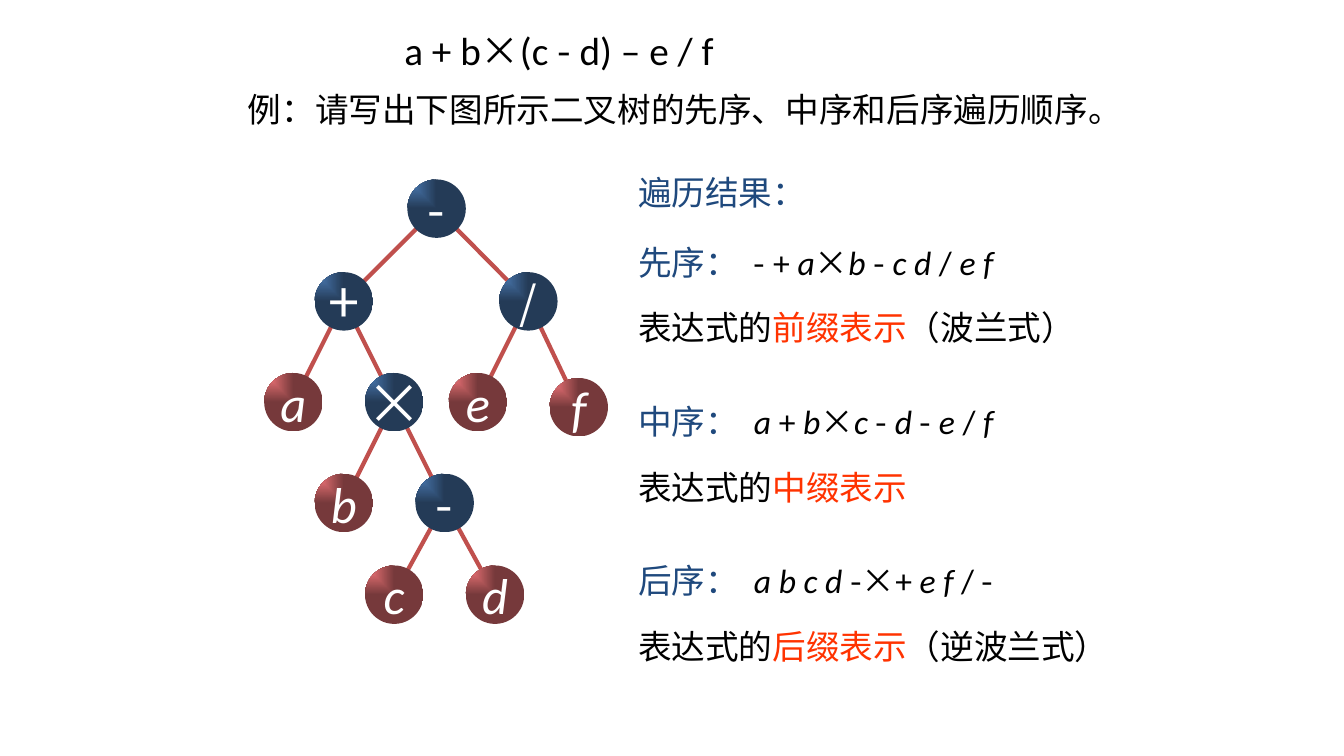
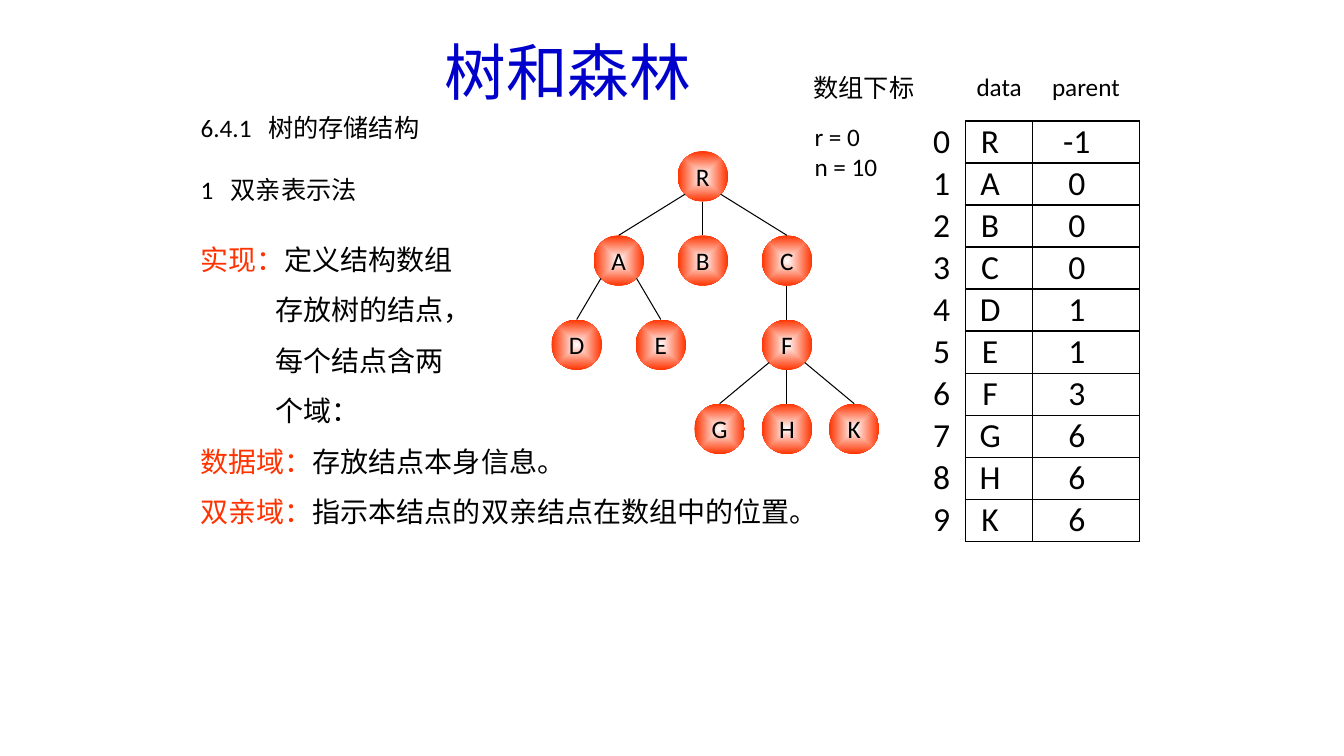
import itertools
import math

import pptx
import pptx.dml.color
import pptx.enum.shapes
import pptx.enum.text
import pptx.oxml
import pptx.oxml.ns
import pptx.util
from lxml import etree

Inches = pptx.util.Inches
Pt = pptx.util.Pt
qn = pptx.oxml.ns.qn
ALIGN = pptx.enum.text.PP_ALIGN
ANCHOR = pptx.enum.text.MSO_ANCHOR

COLORS = {
    "ink": "000000", "paper": "FFFFFF", "title": "0000CC", "label": "1F497D",
    "key": "FF3300", "edge": "C0504D", "blue": "4F81BD", "navy": "243B57",
    "pink": "FF7C80", "wine": "76393B",
}
LATIN, HAN = "Calibri", "Noto Sans CJK SC"
CORNER = {"l": "0", "t": "0", "r": "100000", "b": "100000"}
CENTER = dict.fromkeys("ltrb", "50000")


def rgb(name):
    return pptx.dml.color.RGBColor.from_string(COLORS[name])


def style(run, size, color="ink", font=LATIN, italic=False):
    run.font.size = Pt(size)
    run.font.name = font
    run.font.italic = italic
    run.font.color.rgb = rgb(color)
    east = etree.SubElement(run.font._element, qn("a:ea"))
    east.set("typeface", HAN)


def write(para, parts, size, tab=None, indent=0):
    """Fill a paragraph with runs; each part is (text, *style arguments)."""
    props = para._p.get_or_add_pPr()
    if indent:
        props.set("marL", str(Inches(indent)))
    if tab:
        stops = etree.SubElement(props, qn("a:tabLst"))
        etree.SubElement(stops, qn("a:tab"), pos=str(Inches(tab)), algn="l")
    for text, *look in parts:
        run = para.add_run()
        run.text = text
        style(run, size, *look)


def add_text(slide, box, lines, size, wrap=False, tab=None):
    frame = slide.shapes.add_textbox(*map(Inches, box)).text_frame
    frame.word_wrap = wrap
    for i, parts in enumerate(lines):
        para = frame.add_paragraph() if i else frame.paragraphs[0]
        write(para, parts, size, tab)
    return frame


def set_title(slide, box, parts, size):
    title = slide.shapes.title
    title.left, title.top, title.width, title.height = map(Inches, box)
    frame = title.text_frame
    frame.auto_size = pptx.enum.text.MSO_AUTO_SIZE.NONE
    frame.vertical_anchor = ANCHOR.TOP
    write(frame.paragraphs[0], parts, size)
    frame.paragraphs[0].alignment = ALIGN.LEFT


def formula(text, slant=True):
    """Split an expression into variables, signs and other symbols."""
    def kind(char):
        return "sign" if char in "-×" else "name" if char.isalpha() else "other"

    return [("".join(chars), "ink", HAN if sort == "sign" else LATIN,
             slant and sort == "name")
            for sort, chars in itertools.groupby(text, kind)]


def add_line(slide, start, end, color, width):
    line = slide.shapes.add_connector(
        pptx.enum.shapes.MSO_CONNECTOR.STRAIGHT, *map(Inches, (*start, *end)))
    line.line.color.rgb = rgb(color)
    line.line.width = Pt(width)
    etree.SubElement(line._element.spPr, qn("a:effectLst"))
    return line


def add_node(slide, center, size, text, colors, focus, shape, look):
    """Draw a round node with a gradient that spreads from the focus."""
    x, y = center
    node = slide.shapes.add_shape(
        pptx.enum.shapes.MSO_SHAPE.OVAL,
        *map(Inches, (x - size / 2, y - size / 2, size, size)))
    node.shadow.inherit = False
    node.line.fill.background()
    node.fill.gradient()
    for stop, color, place in zip(node.fill.gradient_stops, colors, (0, 1)):
        stop.color.rgb = rgb(color)
        stop.position = place
    grad = node._element.spPr.find(qn("a:gradFill"))
    old = grad.find(qn("a:lin"))
    spread = etree.Element(qn("a:path"), {"path": shape})
    etree.SubElement(spread, qn("a:fillToRect"), focus)
    grad.replace(old, spread)
    frame = node.text_frame
    frame.margin_left = frame.margin_right = 0
    frame.margin_top = frame.margin_bottom = 0
    frame.word_wrap = False
    frame.vertical_anchor = ANCHOR.MIDDLE
    write(frame.paragraphs[0], [(text, *look[1:])], look[0])
    frame.paragraphs[0].alignment = ALIGN.CENTER
    return node


def binary_tree(slide, left, top):
    size = 0.58
    # sign or letter, offset of the node, index of its parent
    nodes = [
        ("-", 1.42, 0, None), ("+", 0.5, 0.92, 0), ("/", 2.33, 0.92, 0),
        ("a", 0, 1.92, 1), ("×", 1, 1.92, 1),
        ("e", 1.83, 1.92, 2), ("f", 2.83, 1.97, 2),
        ("b", 0.5, 2.92, 4), ("-", 1.5, 2.92, 4),
        ("c", 1, 3.83, 8), ("d", 2, 3.83, 8),
    ]
    spots = [(left + x + size / 2, top + y + size / 2) for _, x, y, _ in nodes]
    for spot, (*_, parent) in zip(spots, nodes):
        if parent is not None:
            add_line(slide, spots[parent], spot, "edge", 3)
    sizes = {"+": 40, "×": 40, "/": 32}
    for spot, (text, *_) in zip(spots, nodes):
        leaf = text.isalpha()
        colors = ("pink", "wine") if leaf else ("blue", "navy")
        look = (sizes.get(text, 36), "paper", LATIN if leaf else HAN, leaf)
        add_node(slide, spot, size, text, colors, CORNER, "rect", look)


def results(slide, left, top):
    add_text(slide, (left, top, 1.96, 0.5), [[("遍历结果：", "label")]], 24)
    orders = [
        ("先序：", "- + a×b - c d / e f", "前缀表示", "（波兰式）"),
        ("中序：", "a + b×c - d - e / f", "中缀表示", ""),
        ("后序：", "a b c d -×+ e f / -", "后缀表示", "（逆波兰式）"),
    ]
    for i, (order, text, name, note) in enumerate(orders):
        y = top + 0.69 + 1.58 * i
        add_text(slide, (left, y, 3.94, 0.5),
                 [[(order + "\t", "label"), *formula(text)]], 24, tab=1.15)
        parts = [("表达式的",), (name, "key")]
        if note:
            parts.append((note,))
        add_text(slide, (left, y + 0.65, 5.06, 0.5), [parts], 24)


def parent_tree(slide, left, top):
    size, step, drop = 0.5, 0.417, 0.835
    # column, row, parent
    nodes = {
        "R": (3, 0, None), "A": (1, 1, "R"), "B": (3, 1, "R"), "C": (5, 1, "R"),
        "D": (0, 2, "A"), "E": (2, 2, "A"), "F": (5, 2, "C"),
        "G": (3.4, 3, "F"), "H": (5, 3, "F"), "K": (6.6, 3, "F"),
    }
    spots = {name: (left + size / 2 + step * col, top + size / 2 + drop * row)
             for name, (col, row, _) in nodes.items()}
    for name, (*_, parent) in nodes.items():
        node = add_node(slide, spots[name], size, name, ("paper", "key"),
                        CENTER, "shape", (18,))
        if parent:
            (x, y), (end, low) = spots[parent], spots[name]
            side = (end > x) - (end < x)
            turn = side * math.pi / 4
            start = (x + size / 2 * math.sin(turn), y + size / 2 * math.cos(turn))
            line = add_line(slide, start, (end, low - size / 2), "ink", 0.75)
            line.end_connect(node, 0)


def set_edges(cell, shown):
    """Draw the sides of a cell named in shown and clear the others."""
    props = cell._tc.get_or_add_tcPr()
    for i, side in enumerate("LRTB"):
        edge = etree.Element(qn("a:ln" + side), w=str(Pt(1)))
        if side in shown:
            fill = etree.SubElement(edge, qn("a:solidFill"))
            etree.SubElement(fill, qn("a:srgbClr"), val=COLORS["ink"])
        else:
            etree.SubElement(edge, qn("a:noFill"))
        props.insert(i, edge)


def parent_table(slide, left, top):
    widths, head, high = (0.48, 0.66, 1.06), 0.53, 0.417
    parents = (-1, 0, 0, 0, 1, 1, 3, 6, 6, 6)
    rows = [("", "data", "parent")]
    rows += [(str(i), name, str(parent))
             for i, (name, parent) in enumerate(zip("RABCDEFGHK", parents))]
    table = slide.shapes.add_table(
        len(rows), len(widths),
        *map(Inches, (left, top, sum(widths), head + 10 * high))).table
    table.first_row = table.horz_banding = False
    for column, width in zip(table.columns, widths):
        column.width = Inches(width)
    for r, row in enumerate(rows):
        table.rows[r].height = Inches(high if r else head)
        for c, text in enumerate(row):
            cell = table.cell(r, c)
            cell.margin_left = cell.margin_bottom = 0
            cell.margin_top = Inches(0 if r else 0.05)
            cell.margin_right = Inches(0.18 if c and r else 0)
            cell.vertical_anchor = ANCHOR.MIDDLE if r else ANCHOR.TOP
            cell.fill.background()
            para = cell.text_frame.paragraphs[0]
            if text:
                write(para, [(text,)], 24 if r else 18)
            para.alignment = ALIGN.CENTER
            if r:
                set_edges(cell, "LRTB" if c else "R")
            else:
                set_edges(cell, "B" if c else "")


def notes(slide, left, top):
    add_text(slide, (left, top, 3.42, 0.4), [[("6.4.1\t树的存储结构",)]], 18, True, 0.67)
    add_text(slide, (left, top + 0.61, 2.58, 0.4), [[("1\t双亲表示法",)]], 18, True, 0.3)
    frame = add_text(slide, (left, top + 1.12, 6.44, 3.07), [
        [("实现：", "key"), ("定义结构数组",)],
        [("存放树的结点，",)],
        [("每个结点含两",)],
        [("个域：",)],
        [("数据域：", "key"), ("存放结点本身信息。",)],
        [("双亲域：", "key"), ("指示本结点的双亲结点在数组中的位置。",)],
    ], 20)
    for para in frame.paragraphs:
        para.line_spacing = 1.5
    for para in frame.paragraphs[1:4]:
        para._p.get_or_add_pPr().set("marL", str(Inches(0.74)))


def order_slide(slide):
    set_title(slide, (3.91, 0.21, 4.8, 0.57),
              formula("a + b×(c - d) – e / f", False), 28)
    add_text(slide, (2.36, 0.83, 9.03, 0.5),
             [[("例：请写出下图所示二叉树的先序、中序和后序遍历顺序。",)]], 24, True)
    binary_tree(slide, 2.62, 1.78)
    results(slide, 6.23, 1.66)


def forest_slide(slide):
    set_title(slide, (4.31, 0.29, 2.83, 0.84), [("树和森林", "title", HAN)], 44)
    notes(slide, 1.89, 1.07)
    parent_tree(slide, 5.47, 1.5)
    add_text(slide, (7.97, 0.67, 1.27, 0.4), [[("数组下标",)]], 18)
    add_text(slide, (7.98, 1.15, 0.89, 0.71), [[("r = 0",)], [("n = 10",)]], 18)
    parent_table(slide, 9.1, 0.67)


def main():
    deck = pptx.Presentation()
    deck.slide_width, deck.slide_height = Inches(13.33), Inches(7.5)
    for build in (order_slide, forest_slide):
        build(deck.slides.add_slide(deck.slide_layouts[5]))
    deck.save("out.pptx")


if __name__ == "__main__":
    main()
